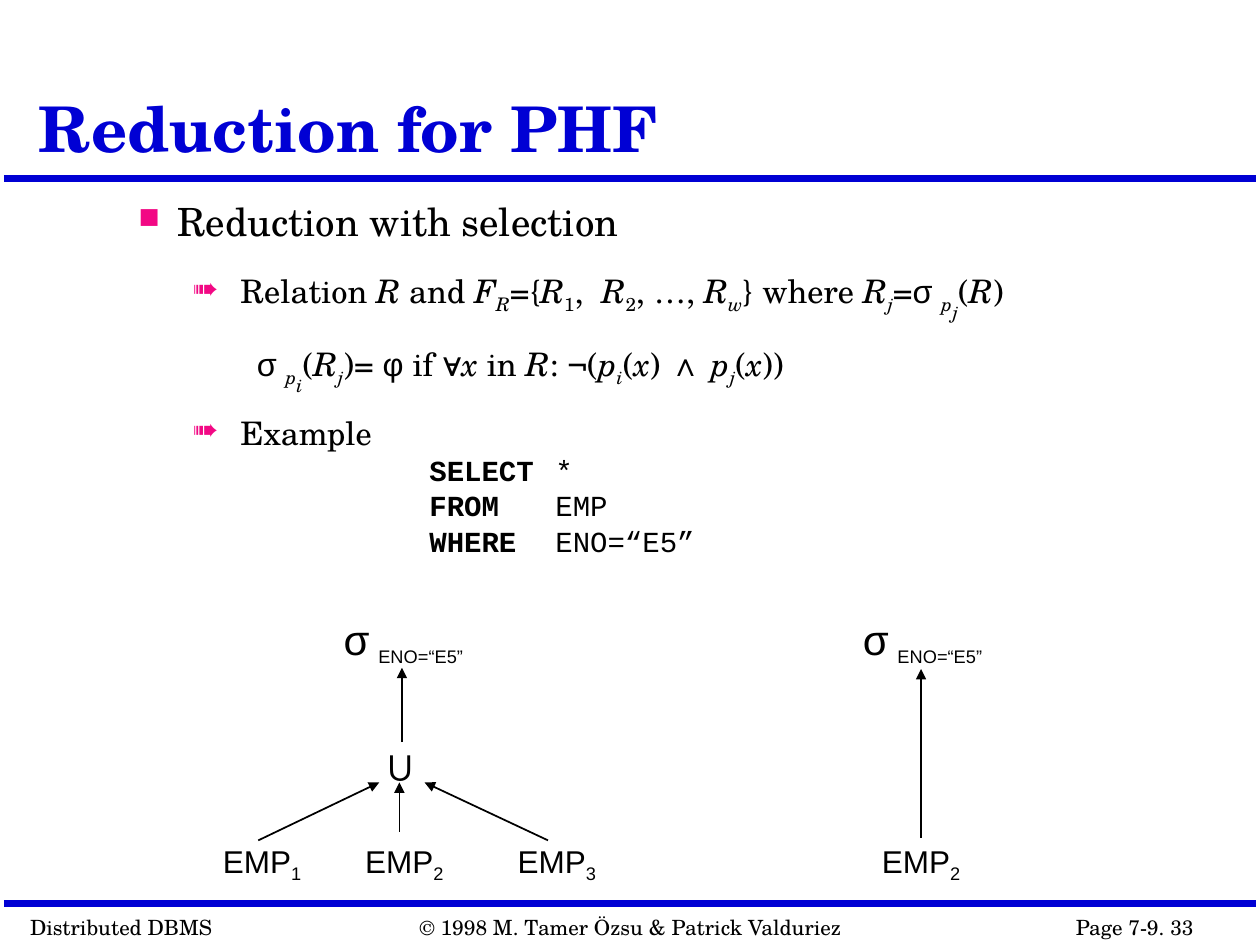
import pptx
import pptx.dml.color
import pptx.enum.shapes
import pptx.enum.text
import pptx.oxml
import pptx.oxml.ns
import pptx.util
from dataclasses import dataclass

Inches = pptx.util.Inches
Pt = pptx.util.Pt


@dataclass(frozen=True)
class Theme:
    blue: str = "0000D4"
    pink: str = "F20884"
    black: str = "000000"
    serif: str = "TeX Gyre Schola"
    sans: str = "Arial"
    mono: str = "Courier New"
    title: float = 36
    heading: float = 22.2
    detail: float = 18.5
    code: float = 16.6
    node: float = 18
    operator: float = 24
    footer: float = 12


def add_xml(parent, tag, **attributes):
    child = pptx.oxml.parse_xml(f"<a:{tag} {pptx.oxml.ns.nsdecls('a')}/>")
    for name, value in attributes.items():
        child.set(name, str(value))
    parent.append(child)
    return child


class SlideBuilder:
    def __init__(self, slide, theme):
        self.slide = slide
        self.theme = theme

    def color(self, value):
        return pptx.dml.color.RGBColor.from_string(value)

    def text_box(self, left, top, width, height, wrap=False):
        box = self.slide.shapes.add_textbox(
            Inches(left), Inches(top), Inches(width), Inches(height))
        frame = box.text_frame
        frame.word_wrap = wrap
        sizing = pptx.enum.text.MSO_AUTO_SIZE
        frame.auto_size = sizing.NONE if wrap else sizing.SHAPE_TO_FIT_TEXT
        return frame

    def add_runs(self, paragraph, pieces, size, font, color=None):
        for text, marks in pieces:
            run = paragraph.add_run()
            run.text = text
            run.font.size = Pt(self.theme.operator if "O" in marks else size)
            run.font.name = self.theme.sans if "g" in marks else font
            run.font.color.rgb = self.color(color or self.theme.black)
            run.font.bold = "b" in marks
            run.font.italic = "i" in marks
            if "s" in marks or "d" in marks:
                drop = -50000 if "d" in marks else -25000
                run.font._element.set("baseline", str(drop))

    def label(self, left, top, width, height, pieces, size, font):
        frame = self.text_box(left, top, width, height)
        self.add_runs(frame.paragraphs[0], pieces, size, font)

    def title(self, text):
        frame = self.text_box(0.21, 0.12, 7.83, 1.25, wrap=True)
        frame.vertical_anchor = pptx.enum.text.MSO_ANCHOR.BOTTOM
        frame.paragraphs[0].line_spacing = 0.9
        self.add_runs(frame.paragraphs[0], [(text, "b")],
                      self.theme.title, self.theme.serif, self.theme.blue)

    def body_paragraph(self, frame, pieces, size, font, level, margin, indent,
                       before, bullet=None, bullet_percent=100):
        first = frame.paragraphs[0]
        paragraph = frame.add_paragraph() if first.runs else first
        paragraph.level = level
        paragraph.line_spacing = 0.9
        paragraph.space_before = Pt(before)
        properties = paragraph._p.get_or_add_pPr()
        properties.set("marL", str(Inches(margin)))
        properties.set("indent", str(Inches(indent)))
        properties.set("defTabSz", str(Inches(1)))
        if bullet:
            bullet_color = add_xml(properties, "buClr")
            add_xml(bullet_color, "srgbClr", val=self.theme.pink)
            add_xml(properties, "buSzPct", val=bullet_percent * 1000)
            add_xml(properties, "buChar", char=bullet)
        else:
            add_xml(properties, "buNone")
        self.add_runs(paragraph, pieces, size, font)

    def line(self, start, end, color, width, arrow=False):
        connector = self.slide.shapes.add_connector(
            pptx.enum.shapes.MSO_CONNECTOR.STRAIGHT,
            *(Inches(value) for value in (*start, *end)))
        connector.line.color.rgb = self.color(color)
        connector.line.width = Pt(width)
        if arrow:
            add_xml(connector.line._get_or_add_ln(), "tailEnd", type="triangle")
        add_xml(connector._element.spPr, "effectLst")

    def arrow(self, start, end):
        self.line(start, end, self.theme.black, 1, arrow=True)

    def relation(self, left, number):
        self.label(left, 6.63, 0.82, 0.44, [("EMP", ""), (number, "s")],
                   self.theme.node, self.theme.sans)

    def selection(self, left):
        self.label(left, 4.82, 1.25, 0.52,
                   [(" ", ""), ("σ", "O"), (" ", ""), ("ENO=“E5”", "s")],
                   self.theme.node, self.theme.sans)


FRAGMENTS = [
    ("Relation ", ""), ("R", "i"), (" and ", ""), ("F", "i"), ("R", "is"),
    ("={", ""), ("R", "i"), ("1", "s"), (",  ", ""), ("R", "i"), ("2", "s"),
    (", …, ", ""), ("R", "i"), ("w", "is"), ("} where ", ""), ("R", "i"),
    ("j", "is"), ("=", ""), ("σ ", "g"), ("p", "is"), ("j", "id"),
    ("(", ""), ("R", "i"), (")", ""),
]
RULE = [
    ("σ ", "g"), ("p", "is"), ("i", "id"), ("(", ""), ("R", "i"),
    ("j", "is"), (")= ", ""), ("φ", "g"), (" if ", ""), ("∀", "g"),
    ("x", "i"), (" in ", ""), ("R", "i"), (": ¬(", ""), ("p", "i"),
    ("i", "is"), ("(", ""), ("x", "i"), (") ", ""), ("∧ ", "g"),
    ("p", "i"), ("j", "is"), ("(", ""), ("x", "i"), ("))", ""),
]
QUERY = [("SELECT", "*"), ("FROM", "EMP"), ("WHERE", "ENO=“E5”")]
FOOTERS = [
    (0.14, 1.65, "Distributed DBMS"),
    (8.44, 1.76, "Page 7-9. 33"),
    (3.23, 3.57, "© 1998 M. Tamer Özsu & Patrick Valduriez"),
]


def main():
    presentation = pptx.Presentation()
    presentation.slide_width = Inches(10)
    presentation.slide_height = Inches(7.5)
    theme = Theme()
    builder = SlideBuilder(
        presentation.slides.add_slide(presentation.slide_layouts[6]), theme)

    for rule_top in (1.42, 7.17):
        builder.line((0.03, rule_top), (9.97, rule_top), theme.blue, 4)
    for left, width, text in FOOTERS:
        builder.label(left, 7.21, width, 0.3, [(text, "")],
                      theme.footer, theme.serif)

    body = builder.text_box(1, 1.56, 7.83, 3.21, wrap=True)
    builder.body_paragraph(body, [("Reduction with selection", "")],
                           theme.heading, theme.serif, 0, 0.31, -0.31, 18,
                           "■", 75)
    detail = (theme.detail, theme.serif)
    arrow_item = (1, 0.81, -0.38, 15, "➠", 95)
    builder.body_paragraph(body, FRAGMENTS, *detail, *arrow_item)
    builder.body_paragraph(body, RULE, *detail, 2, 1.19, -0.25, 15)
    builder.body_paragraph(body, [("Example", "")], *detail, *arrow_item)
    for keyword, operand in QUERY:
        builder.body_paragraph(
            body, [(f"\t\t\t{keyword}\t", "b"), (operand, "")],
            theme.code, theme.mono, 0, 0.31, -0.31, 2.2)

    builder.title("Reduction for PHF")

    for left in (2.56, 6.68):
        builder.selection(left)
    builder.label(2.96, 5.82, 0.46, 0.5, [("∪", "")],
                  theme.operator, theme.sans)
    for left, number in ((1.67, "1"), (2.8, "2"), (4.01, "3"), (6.9, "2")):
        builder.relation(left, number)

    builder.arrow((3.19, 5.89), (3.19, 5.3))
    builder.arrow((3.17, 6.6), (3.17, 6.21))
    builder.arrow((2.05, 6.67), (3.01, 6.21))
    builder.arrow((4.35, 6.67), (3.37, 6.21))
    builder.arrow((7.31, 6.65), (7.31, 5.31))

    presentation.save("out.pptx")


if __name__ == "__main__":
    main()
